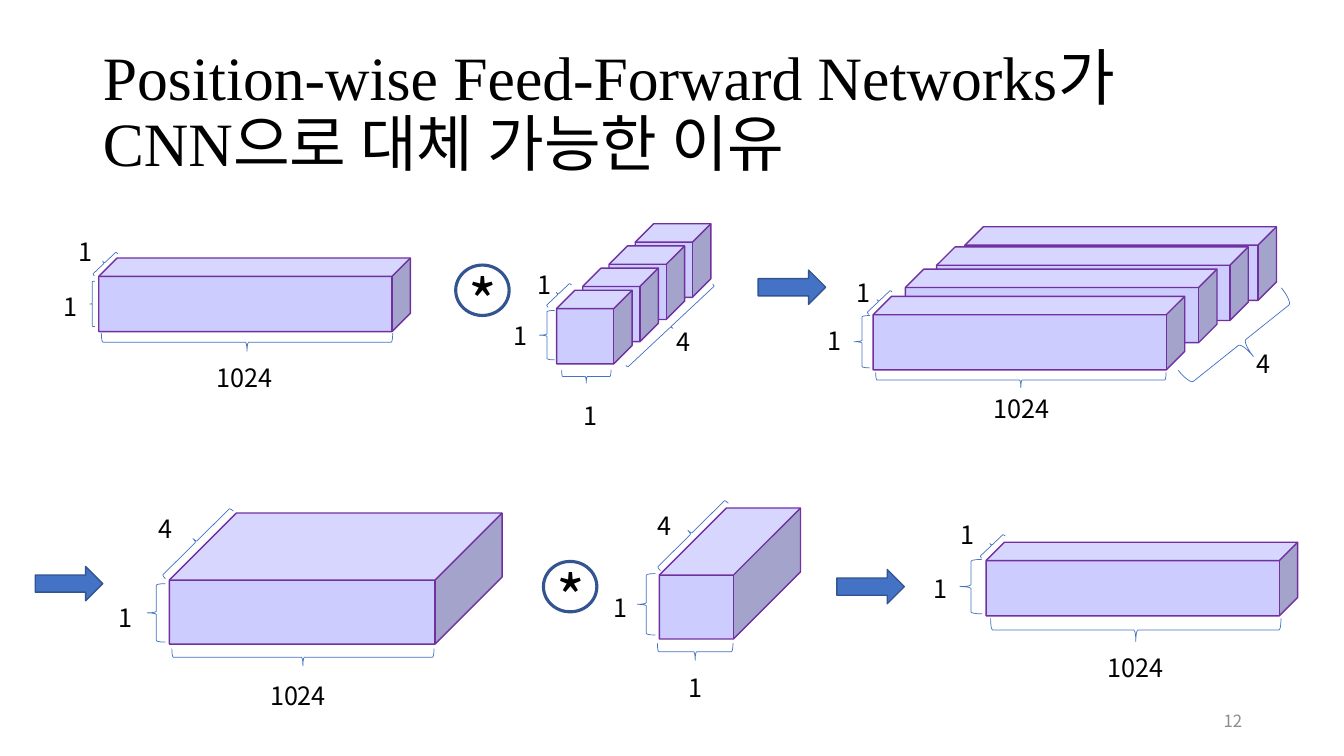
from pptx import Presentation
from pptx.dml.color import RGBColor
from pptx.enum.shapes import MSO_SHAPE as Kind
from pptx.enum.text import MSO_ANCHOR as Anchor, MSO_AUTO_SIZE as Fit, PP_ALIGN as Align
from pptx.oxml.ns import qn
from pptx.util import Pt
from lxml.etree import SubElement

PX = 9144  # one px is 1/100 inch
SANS, SERIF = "Noto Sans CJK KR", "Times New Roman"
HUES = {
    "text": "000000", "page": "8C8C8C", "arrow": "4472C4", "edge": "325491",
    "cube": "CCCCFF", "rim": "7030A0", "brace": "4472C4",
}


class Sketch:
    """Holds the style and the current slide."""

    def __init__(self, slide):
        self.slide = slide

    def hue(self, name):
        return RGBColor.from_string(HUES[name])

    def shape(self, kind, box, fill, line, width, adjust=(), turn=0):
        item = self.slide.shapes.add_shape(kind, *(v * PX for v in box))
        item.shadow.inherit = False
        if fill:
            item.fill.solid()
            item.fill.fore_color.rgb = self.hue(fill)
        else:
            item.fill.background()
        item.line.color.rgb = self.hue(line)
        item.line.width = Pt(width)
        for i, value in enumerate(adjust):
            item.adjustments[i] = value
        item.rotation = turn

    def arrow(self, x, y):
        self.shape(Kind.RIGHT_ARROW, (x, y, 67, 34), "arrow", "edge", 1)

    def cube(self, x, y, w, h, depth=0.25):
        self.shape(Kind.CUBE, (x, y, w, h), "cube", "rim", 1, [depth])

    def side(self, x, y, w, h):
        self.shape(Kind.LEFT_BRACE, (x, y, w, h), None, "brace", 0.5)

    def under(self, x, y, w, h):
        """Brace below a cube; the box is the upright one, turned about its centre."""
        self.shape(Kind.LEFT_BRACE, (x, y, w, h), None, "brace", 0.5, turn=270)

    def slant(self, x, y, w, h, turn, mid=0.5):
        self.shape(Kind.LEFT_BRACE, (x, y, w, h), None, "brace", 0.5, [0.132, mid], turn)

    def label(self, text, x, y, w=34, h=40, size=18, hue="text", align=Align.LEFT):
        box = self.slide.shapes.add_textbox(x * PX, y * PX, w * PX, h * PX)
        frame = box.text_frame
        frame.word_wrap = True
        para = frame.paragraphs[0]
        para.alignment = align
        run = para.add_run()
        run.text = text
        self.font(run, SANS, size, hue)
        return frame

    def font(self, run, face, size, hue="text"):
        run.font.name, run.font.size = face, Pt(size)
        run.font.color.rgb = self.hue(hue)
        SubElement(run.font._element, qn("a:ea")).set("typeface", SANS)

    def star(self, x, y):
        self.shape(Kind.OVAL, (x, y, 53, 50), None, "edge", 2.25)
        self.label("*", x + 3, y - 6, 43, 84, 44)

    def title(self, lines, x, y, w, h):
        box = self.slide.shapes.title
        box.left, box.top, box.width, box.height = (v * PX for v in (x, y, w, h))
        frame = box.text_frame
        frame.auto_size, frame.word_wrap = Fit.NONE, True
        frame.vertical_anchor = Anchor.MIDDLE
        para = frame.paragraphs[0]
        para.alignment, para.line_spacing = Align.LEFT, 0.9
        for i, (latin, korean) in enumerate(lines):
            if i:
                para.add_line_break()
            for text, face in ((latin, SERIF), (korean, SANS)):
                run = para.add_run()
                run.text = text
                self.font(run, face, 44)


def main():
    deck = Presentation()
    deck.slide_width, deck.slide_height = 1333 * PX, 750 * PX
    art = Sketch(deck.slides.add_slide(deck.slide_layouts[5]))

    # Title and page number
    art.title([("Position-wise Feed-Forward Networks", "가 "),
               ("CNN", "으로 대체 가능한 이유")], 92, 40, 1150, 145)
    page = art.label("12", 942, 695, 300, 40, 12, "page", Align.RIGHT)
    page.vertical_anchor = Anchor.MIDDLE

    # Arrows and convolution signs
    for spot in ((752, 268), (830, 565), (35, 562)):
        art.arrow(*spot)
    for spot in ((452, 263), (539, 557)):
        art.star(*spot)

    # Cubes: deep blocks, single bars, then stacks from back to front
    for x, y, w in ((168, 509, 330), (654, 504, 140)):
        art.cube(x, y, w, 130, 0.512)
    for x, y in ((98, 256), (978, 538)):
        art.cube(x, y, 309, 73)
    for i in range(4):
        art.cube(630 - 26 * i, 222 + 22 * i, 75, 73)
    for x, y in ((957, 225), (929, 245), (898, 267), (866, 294)):
        art.cube(x, y, 309, 73)

    # Height braces
    for box in ((146, 579, 18, 58), (632, 569, 18, 61), (89, 279, 5, 45),
                (952, 555, 22, 54), (535, 308, 15, 49), (847, 313, 16, 52)):
        art.side(*box)

    # Width braces
    for box in ((292, 522, 17, 260), (681, 609, 17, 75), (236, 195, 18, 289),
                (1115, 481, 23, 288), (575, 349, 13, 49), (1005, 233, 15, 288)):
        art.under(*box)

    # Depth braces
    for x, y in ((190, 490), (681, 482)):
        art.slant(x, y, 9, 95, 45.2)
    for x, y in ((101, 245), (981, 525), (551, 276), (869, 283)):
        art.slant(x, y, 5, 32, 46.5)
    art.slant(663, 265, 5, 118, 226.9)
    art.slant(1213, 275, 36, 131, 231.4, 0.51)

    # Dimension labels
    spots = {
        "1": [(599, 583), (673, 662), (108, 593), (53, 284), (68, 230), (916, 564),
              (943, 510), (499, 313), (569, 392), (523, 262), (811, 318), (840, 270)],
        "4": [(147, 504), (642, 501), (661, 319), (1236, 341)],
        "1024": [(258, 670), (205, 355), (1089, 642), (976, 385)],
    }
    wide = {"1": 34, "4": 43, "1024": 99}
    for text, places in spots.items():
        for x, y in places:
            art.label(text, x, y, wide[text])

    deck.save("out.pptx")


if __name__ == "__main__":
    main()
